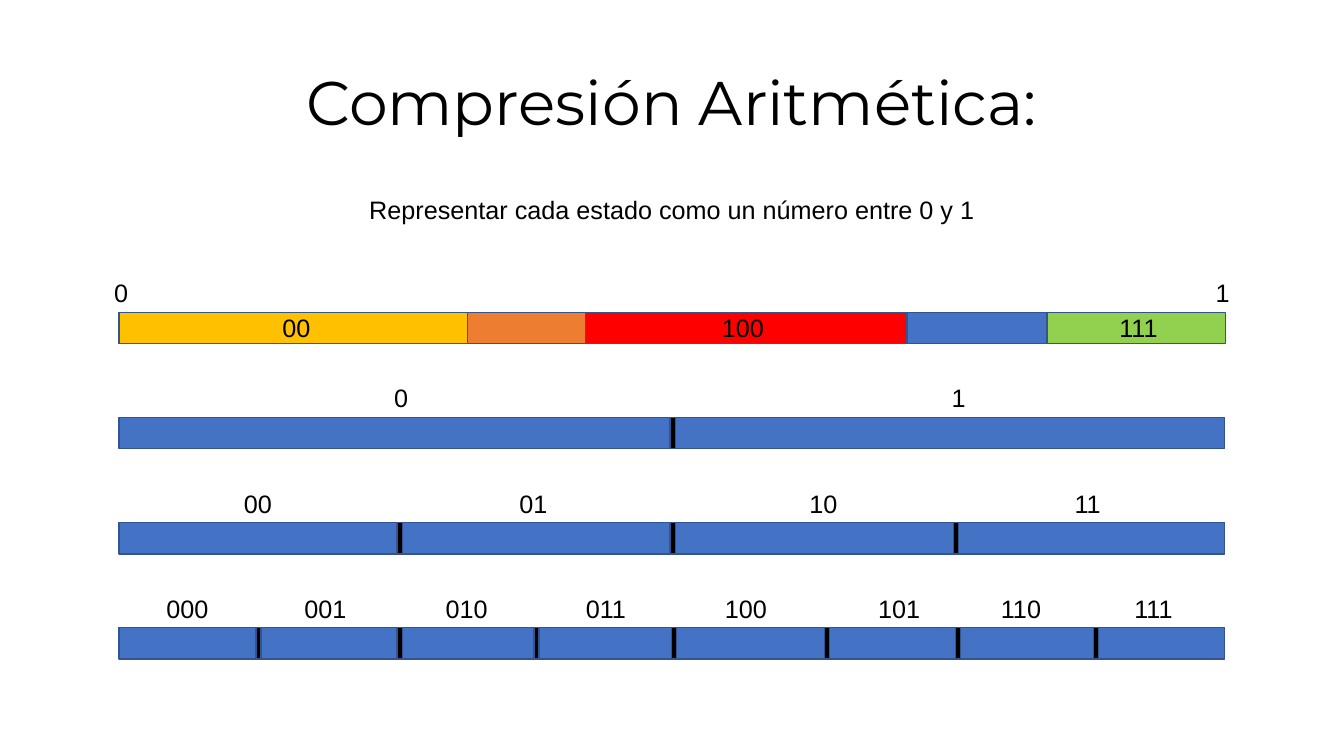
from dataclasses import dataclass

from pptx import Presentation
from pptx.dml.color import RGBColor
from pptx.enum.shapes import MSO_SHAPE
from pptx.enum.text import MSO_ANCHOR, MSO_AUTO_SIZE, PP_ALIGN
from pptx.util import Cm, Pt

RECTANGLE = MSO_SHAPE.RECTANGLE
MIDDLE = MSO_ANCHOR.MIDDLE
CENTER = PP_ALIGN.CENTER
FIT_TEXT = MSO_AUTO_SIZE.SHAPE_TO_FIT_TEXT
NO_FIT = MSO_AUTO_SIZE.NONE
TITLE_ONLY = 5


@dataclass(frozen=True)
class Theme:
    ink: str = "000000"
    blue: str = "4472C4"
    outline: str = "325491"
    orange: str = "ED7D31"
    yellow: str = "FFC000"
    red: str = "FF0000"
    green: str = "92D050"
    title_font: str = "Montserrat"
    body_font: str = "Arial"
    title_size: int = 44
    body_size: int = 18
    line_width: int = 1


THEME = Theme()

# All lengths are in centimetres; positions in a row count from the bar's left end
BAR_LEFT, BAR_WIDTH, BAR_HEIGHT = 3, 27.86, 0.79
FIRST_BAR_TOP, BAR_STEP = 7.87, 2.65
LABEL_HEIGHT, LABEL_RISE, INNER_RISE = 1.02, 1, 0.12
DIVIDER_WIDTH = 0.13

# Coloured intervals of the first bar: start, end, fill
INTERVALS = [
    (8.79, 11.76, THEME.orange),
    (0, 8.79, THEME.yellow),
    (11.76, 19.86, THEME.red),
    (23.39, 27.88, THEME.green),
]
INTERVAL_CODES = {4.47: "00", 15.72: "100", 25.69: "111"}
LIMITS = {0.05: "0", 27.81: "1"}

# Binary subdivisions: centres of the codes, left edges of the dividers
SUBDIVISIONS = [
    ([7.11, 21.16], [13.89]),
    ([3.5, 10.44, 17.75, 24.41], [7.01, 13.89, 21.03]),
    ([1.72, 5.2, 8.76, 12.27, 15.8, 19.66, 22.73, 26.07],
     [3.45, 7.01, 10.46, 13.92, 17.78, 21.08, 24.56]),
]


def set_all(target, values):
    for name, value in values.items():
        setattr(target, name, value)


def write(frame, text, font, size, settings):
    frame.text = text
    set_all(frame, settings)
    paragraph = frame.paragraphs[0]
    paragraph.alignment = CENTER
    run_font = paragraph.runs[0].font
    set_all(run_font, {"name": font, "size": Pt(size), "bold": False})
    run_font.color.rgb = RGBColor.from_string(THEME.ink)
    return paragraph


def add_bar(slide, left, top, width, fill):
    bar = slide.shapes.add_shape(
        RECTANGLE, Cm(left), Cm(top), Cm(width), Cm(BAR_HEIGHT))
    bar.shadow.inherit = False
    bar.fill.solid()
    bar.fill.fore_color.rgb = RGBColor.from_string(fill)
    bar.line.color.rgb = RGBColor.from_string(THEME.outline)
    bar.line.width = Pt(THEME.line_width)


def add_label(slide, text, left, top, width):
    label = slide.shapes.add_textbox(
        Cm(left), Cm(top), Cm(width), Cm(LABEL_HEIGHT))
    write(label.text_frame, text, THEME.body_font, THEME.body_size,
          {"word_wrap": False, "auto_size": FIT_TEXT})


def add_codes(slide, codes, left, top):
    for centre, code in codes.items():
        width = 0.51 + 0.35 * len(code)
        add_label(slide, code, left + centre - width / 2, top, width)


def add_heading(slide, left, top, width, height):
    title = slide.shapes.title
    set_all(title, {"left": Cm(left), "top": Cm(top),
                    "width": Cm(width), "height": Cm(height)})
    line = write(title.text_frame, "Compresión Aritmética:",
                 THEME.title_font, THEME.title_size,
                 {"vertical_anchor": MIDDLE, "word_wrap": True, "auto_size": NO_FIT})
    line.line_spacing = 0.9


def add_interval_row(slide, left, top, width):
    add_bar(slide, left, top, width, THEME.blue)
    for start, end, fill in INTERVALS:
        add_bar(slide, left + start, top, end - start, fill)
    add_codes(slide, LIMITS, left, top - LABEL_RISE)
    add_codes(slide, INTERVAL_CODES, left, top - INNER_RISE)


def add_subdivision_row(slide, left, top, width, bits, centres, dividers):
    add_bar(slide, left, top, width, THEME.blue)
    for divider in dividers:
        add_bar(slide, left + divider, top, DIVIDER_WIDTH, THEME.ink)
    codes = {centre: f"{number:0{bits}b}" for number, centre in enumerate(centres)}
    add_codes(slide, codes, left, top - LABEL_RISE)


def main():
    deck = Presentation()
    deck.slide_width, deck.slide_height = Cm(33.87), Cm(19.05)
    slide = deck.slides.add_slide(deck.slide_layouts[TITLE_ONLY])

    # Title and statement
    add_heading(slide, 2.33, 0.81, 29.21, 3.68)
    add_label(slide, "Representar cada estado como un número entre 0 y 1",
              8.89, 4.78, 16.08)

    # Number line with the state intervals
    add_interval_row(slide, BAR_LEFT, FIRST_BAR_TOP, BAR_WIDTH)

    # Splits into one, two and three bits
    for bits, (centres, dividers) in enumerate(SUBDIVISIONS, start=1):
        add_subdivision_row(slide, BAR_LEFT, FIRST_BAR_TOP + bits * BAR_STEP,
                            BAR_WIDTH, bits, centres, dividers)

    deck.save("out.pptx")


if __name__ == "__main__":
    main()
